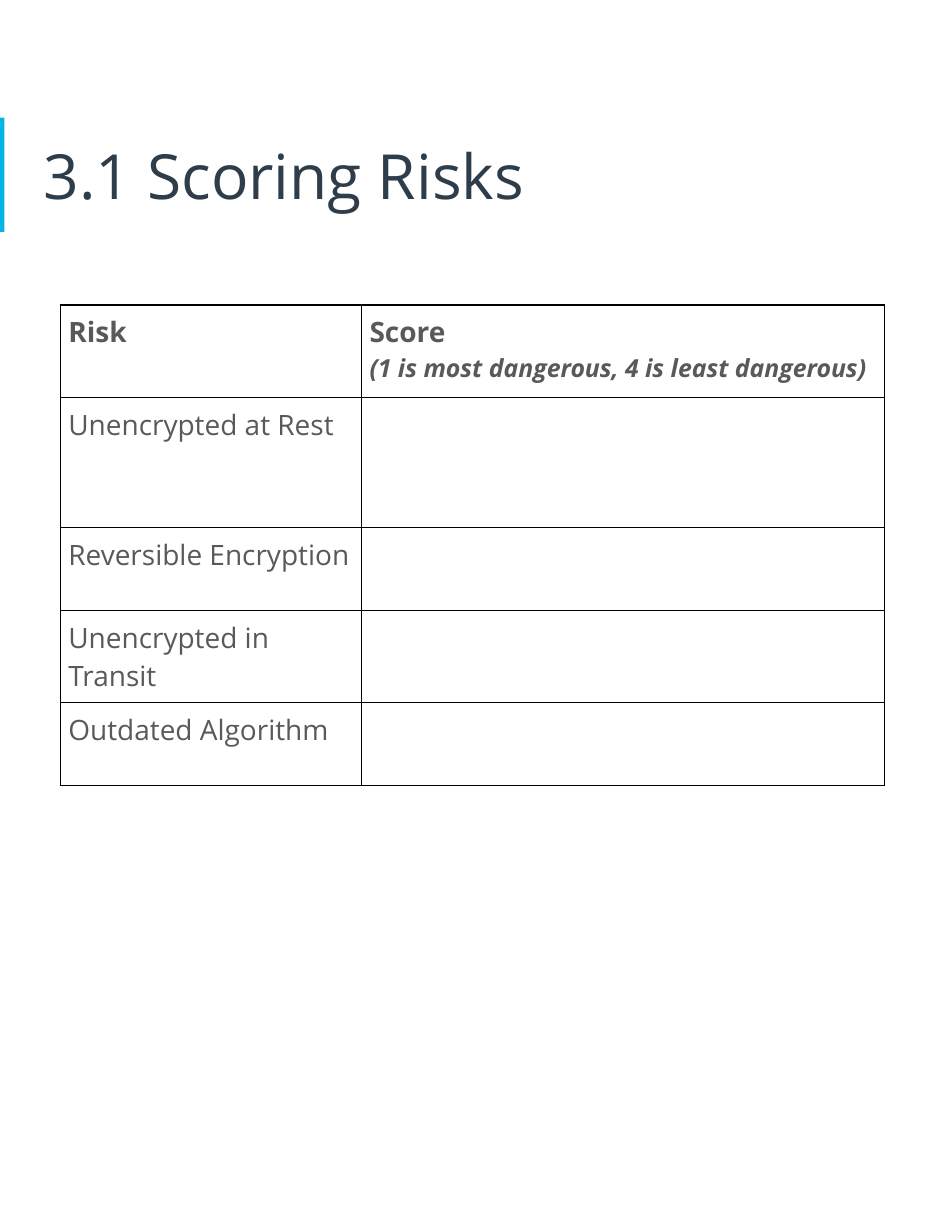
from lxml.etree import SubElement
from pptx import Presentation
from pptx.dml.color import RGBColor
from pptx.enum.shapes import MSO_SHAPE
from pptx.enum.text import MSO_ANCHOR, PP_ALIGN
from pptx.oxml.ns import qn
from pptx.util import Cm, Pt

BLUE = RGBColor(0x02, 0xB4, 0xE5)
NAVY = RGBColor(0x2E, 0x3D, 0x49)
GREY = RGBColor(0x59, 0x59, 0x59)
BLACK = RGBColor(0, 0, 0)
FONT = "Open Sans"


def write(para, text, size, color, bold=False, italic=False):
    para.alignment = PP_ALIGN.LEFT
    run = para.add_run()
    run.text = text
    font = run.font
    font.name = FONT
    font.size = Pt(size)
    font.bold = bold
    font.italic = italic
    font.color.rgb = color


def frame(cell):
    props = cell._tc.get_or_add_tcPr()
    for i, side in enumerate(("lnL", "lnR", "lnT", "lnB")):
        line = SubElement(props, qn(f"a:{side}"), w=str(Pt(1)))
        fill = SubElement(line, qn("a:solidFill"))
        SubElement(fill, qn("a:srgbClr"), val=str(BLACK))
        props.insert(i, line)


deck = Presentation()
deck.slide_width = Cm(21.59)
deck.slide_height = Cm(27.94)
slide = deck.slides.add_slide(deck.slide_layouts[5])

bar = slide.shapes.add_shape(MSO_SHAPE.RECTANGLE, Cm(0), Cm(2.67), Cm(0.1), Cm(2.59))
bar.shadow.inherit = False
bar.fill.solid()
bar.fill.fore_color.rgb = BLUE
bar.line.fill.background()

title = slide.shapes.title
title.left, title.top = Cm(0.74), Cm(2.41)
title.width, title.height = Cm(20.12), Cm(3.1)
box = title.text_frame
box.word_wrap = True
box.vertical_anchor = MSO_ANCHOR.MIDDLE
box.margin_left = box.margin_right = box.margin_top = box.margin_bottom = Cm(0.25)
write(box.paragraphs[0], "3.1 Scoring Risks", 40, NAVY)

risks = [
    "Unencrypted at Rest",
    "Reversible Encryption",
    "Unencrypted in Transit",
    "Outdated Algorithm",
]
widths = [6.83, 11.86]
heights = [2.1, 2.95, 1.88, 1.88, 1.88]

grid = slide.shapes.add_table(
    len(heights), len(widths), Cm(1.37), Cm(6.92), Cm(sum(widths)), Cm(sum(heights))
).table
grid.first_row = False
grid.horz_banding = False
for col, width in zip(grid.columns, widths):
    col.width = Cm(width)
for row, height in zip(grid.rows, heights):
    row.height = Cm(height)

for cell in grid.iter_cells():
    cell.fill.background()
    cell.margin_left = cell.margin_right = Cm(0.18)
    cell.margin_top = cell.margin_bottom = Cm(0.18)
    frame(cell)

write(grid.cell(0, 0).text_frame.paragraphs[0], "Risk", 18, GREY, bold=True)
score = grid.cell(0, 1).text_frame
write(score.paragraphs[0], "Score", 18, GREY, bold=True)
write(
    score.add_paragraph(),
    "(1 is most dangerous, 4 is least dangerous)",
    16, GREY, bold=True, italic=True,
)
for i, risk in enumerate(risks, 1):
    write(grid.cell(i, 0).text_frame.paragraphs[0], risk, 18, GREY)

deck.save("out.pptx")
